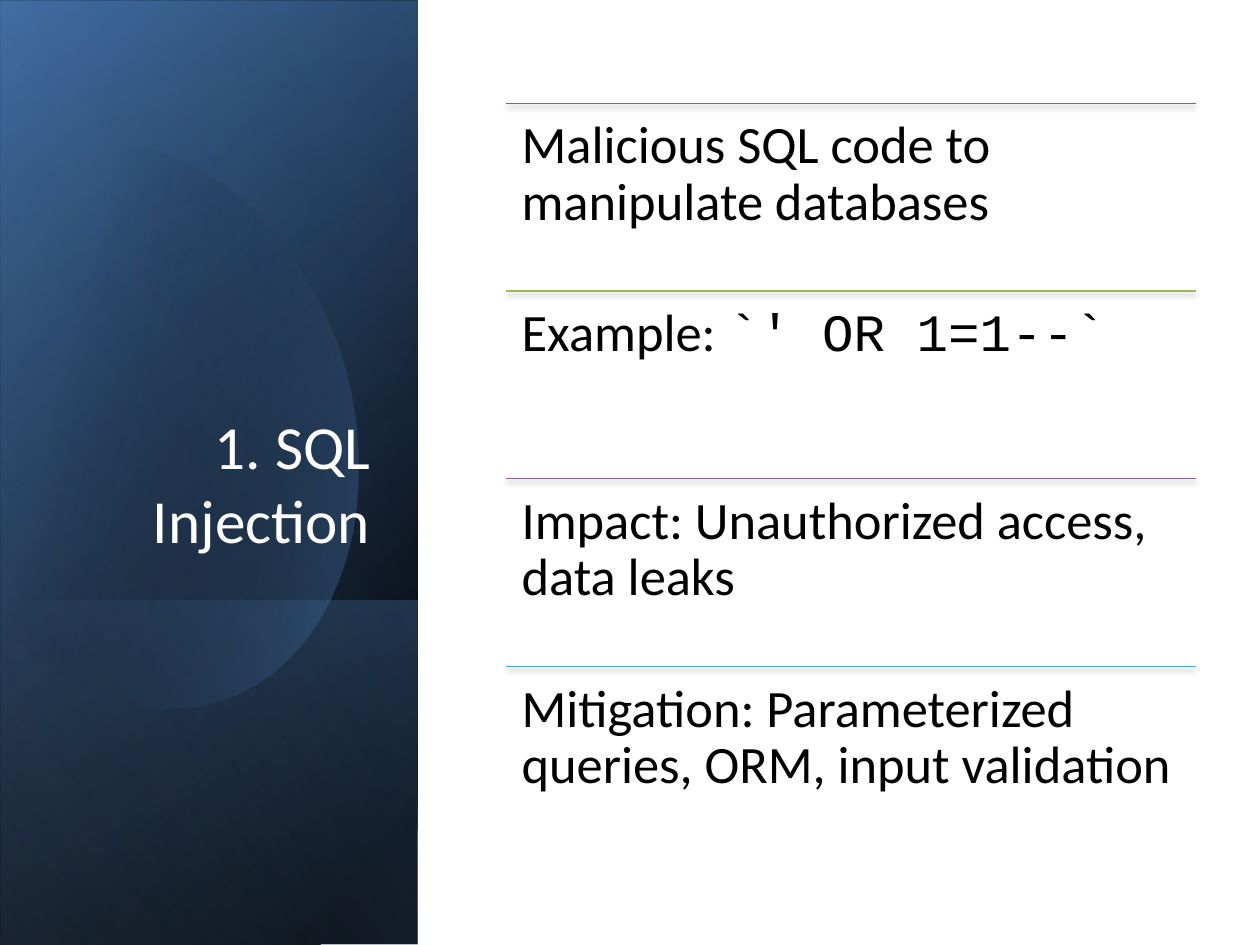
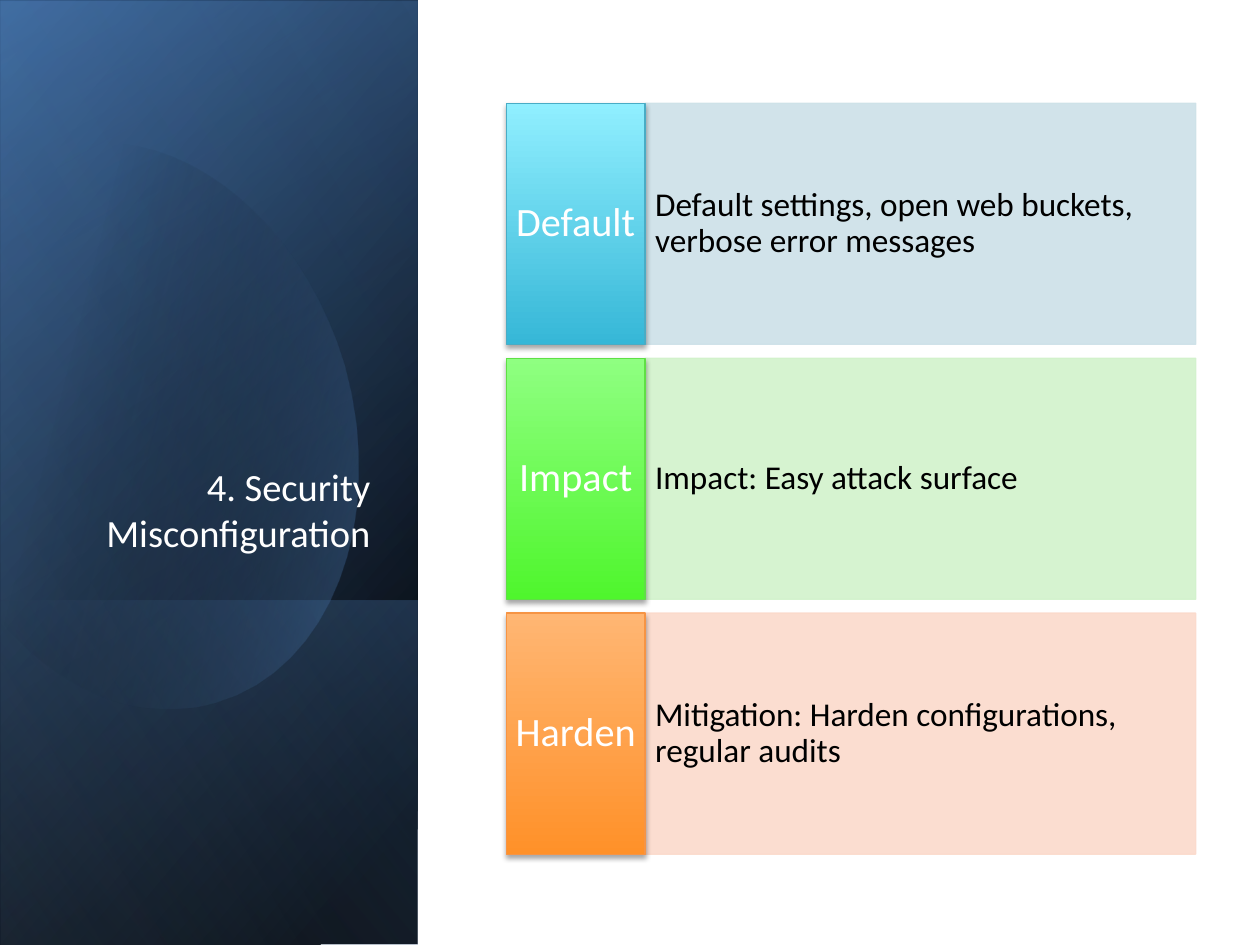
from lxml.etree import SubElement
from pptx import Presentation
from pptx.dml.color import RGBColor
from pptx.enum.shapes import MSO_CONNECTOR, MSO_SHAPE
from pptx.enum.text import MSO_ANCHOR, MSO_AUTO_SIZE, PP_ALIGN
from pptx.oxml.ns import qn
from pptx.util import Inches, Pt

FONT = "Calibri"
CODE = "Courier New"
BLACK = "000000"
WHITE = "FFFFFF"
BLUE = "4F81BD"
LEFT, TOP, WIDTH, HEIGHT = 4.02, 0.82, 5.47, 5.96
TAG = 1.1
GAP = 0.11

BANDS = [
    ((-2.09, 2.09, 7.5, 3.31), [(0, BLACK, 100), (8, BLACK, 100), (100, "366092", 100)], 50),
    ((-2.09, 2.11, 7.5, 3.31), [(0, BLACK, 0), (99, BLUE, 46), (100, BLUE, 46)], 30),
    ((0.29, 4.48, 2.74, 3.31), [(0, BLUE, 29), (2, BLUE, 29), (100, BLACK, 30)], 130),
]
SHEEN = ((-2.09, 2.09, 7.5, 3.31), [(0, BLACK, 0), (99, "93B3D7", 11), (100, "93B3D7", 11)], 120)
GLOW = [(0, BLACK, 0), (29, BLACK, 0), (100, BLUE, 43)]
START = (0.96, 1.14)
CURVES = [
    [(1.71, 1.22), (2.44, 1.92), (2.73, 2.9)],
    [(3.07, 4.12), (2.62, 5.31), (1.71, 5.57)],
    [(1.14, 5.74), (0.53, 5.5), (0.07, 5)],
    [(-0.03, 4.88)],
    [(-0.25, 1.66)],
    [(-0.15, 1.54)],
    [(0.02, 1.37), (0.22, 1.25), (0.45, 1.18)],
    [(0.62, 1.13), (0.79, 1.12), START],
]

POINTS = [
    ("BF504D", [("Malicious SQL code to manipulate databases", FONT)]),
    ("9BBB59", [("Example: ", FONT), ("`' OR 1=1--`", CODE)]),
    ("8064A2", [("Impact: Unauthorized access, data leaks", FONT)]),
    ("49ACC5", [("Mitigation: Parameterized queries, ORM, input validation", FONT)]),
]
CARDS = [
    ("Default", "Default settings, open web buckets, verbose error messages",
     "CDE1E8", "49ACC5", "36B7D7", "90EFFF"),
    ("Impact", "Impact: Easy attack surface",
     "D2F2CB", "5FDF45", "4FF62D", "8FFF81"),
    ("Harden", "Mitigation: Harden configurations, regular audits",
     "FBDACB", "F69444", "FF9129", "FFB673"),
]


def color(code):
    return RGBColor.from_string(code)


def blend(shape, stops, angle):
    shape.fill.background()
    props = shape._element.spPr
    grad = SubElement(props, qn("a:gradFill"), rotWithShape="1")
    props.replace(props.find(qn("a:noFill")), grad)
    items = SubElement(grad, qn("a:gsLst"))
    for place, code, alpha in stops:
        stop = SubElement(items, qn("a:gs"), pos=str(place * 1000))
        tone = SubElement(stop, qn("a:srgbClr"), val=str(color(code)))
        SubElement(tone, qn("a:alpha"), val=str(alpha * 1000))
    SubElement(grad, qn("a:lin"), ang=str(angle * 60000), scaled="0")


def shade(shape):
    props = shape._element.spPr
    for old in props.findall(qn("a:effectLst")):
        props.remove(old)
    list_ = SubElement(props, qn("a:effectLst"))
    drop = SubElement(list_, qn("a:outerShdw"), blurRad=str(Pt(3.1)), dist=str(Pt(1.8)),
                      dir="5400000", rotWithShape="0")
    tone = SubElement(drop, qn("a:srgbClr"), val=BLACK)
    SubElement(tone, qn("a:alpha"), val="35000")


def box(slide, place):
    shape = slide.shapes.add_shape(MSO_SHAPE.RECTANGLE, *map(Inches, place))
    shape.shadow.inherit = False
    return shape


def band(slide, place, stops, angle):
    shape = box(slide, place)
    shape.line.fill.background()
    blend(shape, stops, angle)
    shape.rotation = 90
    shape._element.spPr.find(qn("a:xfrm")).set("flipH", "1")


def trace(start, curves, steps=16):
    for curve in curves:
        if len(curve) == 1:
            yield curve[0]
        else:
            for step in range(1, steps + 1):
                t = step / steps
                parts = ((1 - t) ** 3, 3 * t * (1 - t) ** 2, 3 * t * t * (1 - t), t ** 3)
                yield tuple(sum(part * knot[axis] for part, knot in zip(parts, [start, *curve]))
                            for axis in (0, 1))
        start = curve[-1]


def blob(slide):
    pen = slide.shapes.build_freeform(*map(Inches, START))
    pen.add_line_segments([(Inches(x), Inches(y)) for x, y in trace(START, CURVES)])
    shape = pen.convert_to_shape()
    shape.shadow.inherit = False
    shape.line.fill.background()
    blend(shape, GLOW, 14)


def write(shape, runs, size, code, align, anchor, pad):
    frame = shape.text_frame
    frame.word_wrap = True
    frame.auto_size = MSO_AUTO_SIZE.NONE
    frame.vertical_anchor = anchor
    frame.margin_left = frame.margin_right = Inches(pad[0])
    frame.margin_top = frame.margin_bottom = Inches(pad[1])
    para = frame.paragraphs[0]
    para.alignment = align
    para.font.size = Pt(size)
    para.font.name = FONT
    para.font.color.rgb = color(code)
    for text, font in runs:
        run = para.add_run()
        run.text = text
        if font != FONT:
            run.font.name = font
    return para


def start(deck, text, size):
    slide = deck.slides.add_slide(deck.slide_layouts[5])
    for item in BANDS:
        band(slide, *item)
    blob(slide)
    band(slide, *SHEEN)
    title = slide.shapes.title
    title.left, title.top, title.width, title.height = map(Inches, (0.48, 1.84, 2.56, 2.62))
    write(title, [(text, FONT)], size, WHITE, PP_ALIGN.RIGHT, MSO_ANCHOR.BOTTOM, (0.1, 0.05))
    slide.shapes._spTree.append(title._element)
    return slide


def point(slide, top, high, code, runs):
    ends = map(Inches, (LEFT, top, LEFT + WIDTH, top))
    rule = slide.shapes.add_connector(MSO_CONNECTOR.STRAIGHT, *ends)
    rule.line.color.rgb = color(code)
    rule.line.width = Pt(0.75)
    shade(rule)
    note = slide.shapes.add_textbox(*map(Inches, (LEFT, top, WIDTH, high)))
    para = write(note, runs, 30, BLACK, PP_ALIGN.LEFT, MSO_ANCHOR.TOP, (0.12, 0.12))
    para.line_spacing = 0.9


def card(slide, top, high, name, text, pale, edge, deep, light):
    body = box(slide, (LEFT + TAG, top, WIDTH - TAG, high))
    body.fill.solid()
    body.fill.fore_color.rgb = body.line.color.rgb = color(pale)
    for tone in body._element.spPr.iter(qn("a:srgbClr")):
        SubElement(tone, qn("a:alpha"), val="90000")
    label = box(slide, (LEFT, top, TAG, high))
    blend(label, [(0, deep, 100), (100, light, 100)], 270)
    label.line.color.rgb = color(edge)
    shade(label)
    for shape, words, size, code, align, pad in (
        (body, text, 19, BLACK, PP_ALIGN.LEFT, (0.08, 0.49)),
        (label, name, 23, WHITE, PP_ALIGN.CENTER, (0.06, 0.19)),
    ):
        shape.line.width = Pt(0.75)
        para = write(shape, [(words, FONT)], size, code, align, MSO_ANCHOR.MIDDLE, pad)
        para.line_spacing = 0.9


def main():
    deck = Presentation()
    deck.slide_width, deck.slide_height = Inches(10), Inches(7.5)

    slide = start(deck, "1. SQL Injection", 35)
    high = HEIGHT / len(POINTS)
    for row, item in enumerate(POINTS):
        point(slide, TOP + row * high, high, *item)

    slide = start(deck, "4. Security Misconfiguration", 22)
    pitch = (HEIGHT + GAP) / len(CARDS)
    for row, item in enumerate(CARDS):
        card(slide, TOP + row * pitch, pitch - GAP, *item)

    deck.save("out.pptx")


if __name__ == "__main__":
    main()
